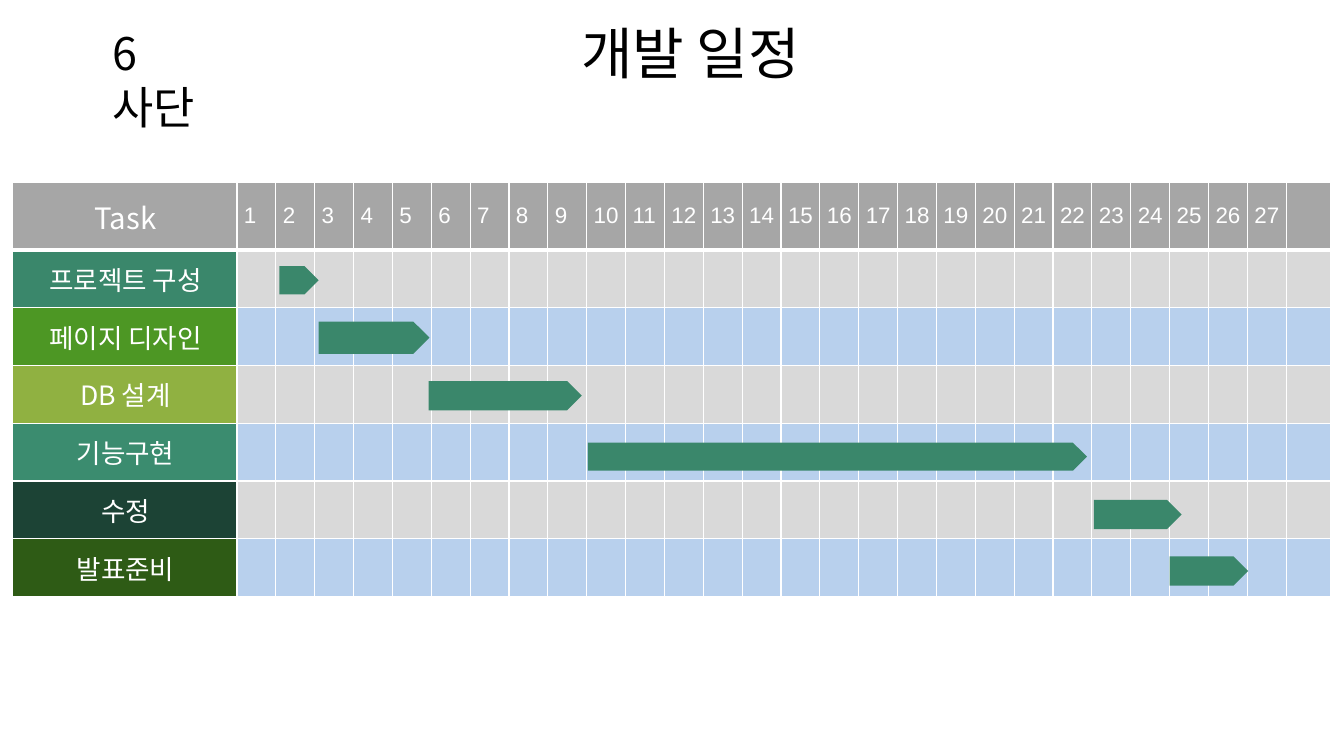
from lxml import etree
from pptx import Presentation
from pptx.dml.color import RGBColor
from pptx.enum import shapes, text
from pptx.oxml import ns
from pptx.util import Inches, Pt

WHITE = RGBColor(0xFF, 0xFF, 0xFF)
BLACK = RGBColor(0x00, 0x00, 0x00)
HEAD = RGBColor(0xA6, 0xA6, 0xA6)
GRAY = RGBColor(0xD9, 0xD9, 0xD9)
BLUE = RGBColor(0xB8, 0xD0, 0xED)
GREEN = RGBColor(0x3A, 0x87, 0x6B)
LEAF = RGBColor(0x4D, 0x97, 0x24)
LIME = RGBColor(0x90, 0xB1, 0x41)
TEAL = RGBColor(0x3B, 0x8C, 0x6F)
PINE = RGBColor(0x1C, 0x43, 0x35)
MOSS = RGBColor(0x2E, 0x5B, 0x15)

KOREAN = "Noto Sans CJK KR"
DAYS = 27

# Task name, label colour, bar as left, top, width, height
TASKS = [
    ("프로젝트 구성", GREEN, (2.77, 2.64, 0.39, 0.28)),
    ("페이지 디자인", LEAF, (3.16, 3.19, 1.1, 0.32)),
    ("DB 설계", LIME, (4.25, 3.78, 1.52, 0.29)),
    ("기능구현", TEAL, (5.83, 4.39, 4.95, 0.28)),
    ("수정", PINE, (10.85, 4.96, 0.87, 0.29)),
    ("발표준비", MOSS, (11.6, 5.52, 0.78, 0.29)),
]


def write(frame, words, size, color, name=KOREAN, align=None):
    par = frame.paragraphs[0]
    par.alignment = align
    run = par.add_run()
    run.text = words
    run.font.color.rgb = color
    for key, value in {"size": Pt(size), "name": name, "bold": False}.items():
        setattr(run.font, key, value)
    east = etree.SubElement(run.font._element, ns.qn("a:ea"))
    east.set("typeface", name)
    return par


def edge(cell, base):
    """Draw white borders, with the given width in points below the cell."""
    props = cell._tc.get_or_add_tcPr()
    for place, (side, width) in enumerate(
            {"lnL": 1, "lnR": 1, "lnT": 1, "lnB": base}.items()):
        line = etree.Element(ns.qn("a:" + side), w=str(Pt(width)))
        fill = etree.SubElement(line, ns.qn("a:solidFill"))
        etree.SubElement(fill, ns.qn("a:srgbClr"), val=str(WHITE))
        props.insert(place, line)


def paint(cell, color, base=1):
    cell.fill.solid()
    cell.fill.fore_color.rgb = color
    edge(cell, base)
    look = {
        "vertical_anchor": text.MSO_ANCHOR.MIDDLE,
        "margin_left": Inches(0.07),
        "margin_right": Inches(0.05),
        "margin_top": Inches(0.07),
        "margin_bottom": Inches(0.07),
    }
    for key, value in look.items():
        setattr(cell, key, value)


def add_grid(slide):
    wide, tall = 13.08, 4.11
    first, last, head = 2.23, 0.44, 0.67
    grid = slide.shapes.add_table(
        len(TASKS) + 1, DAYS + 2, Inches(0.12), Inches(1.81),
        Inches(wide), Inches(tall)).table
    grid.first_row = grid.horz_banding = False

    # Sizes
    day = (wide - first - last) / DAYS
    for col, width in zip(grid.columns, [first] + [day] * DAYS + [last]):
        col.width = Inches(width)
    step = (tall - head) / len(TASKS)
    for row, height in zip(grid.rows, [head] + [step] * len(TASKS)):
        row.height = Inches(height)

    # Header row
    mid = text.PP_ALIGN.CENTER
    for cell in grid.rows[0].cells:
        paint(cell, HEAD, 3)
    write(grid.cell(0, 0).text_frame, "Task", 21, WHITE, align=mid)
    for num in range(1, DAYS + 1):
        write(grid.cell(0, num).text_frame, str(num), 16, WHITE, "Arial")

    # Task rows
    for row, (name, color, _) in enumerate(TASKS, 1):
        band = GRAY if row % 2 else BLUE
        for col, cell in enumerate(grid.rows[row].cells):
            paint(cell, band if col else color)
        write(grid.cell(row, 0).text_frame, name, 19, WHITE, align=mid)


def add_bar(slide, box):
    bar = slide.shapes.add_shape(
        shapes.MSO_SHAPE.RIGHT_ARROW, *map(Inches, box))
    bar.adjustments[0] = 1
    bar.adjustments[1] = 0.5
    bar.shadow.inherit = False
    bar.fill.solid()
    bar.fill.fore_color.rgb = GREEN
    bar.line.fill.background()


def add_team(slide):
    box = slide.shapes.add_textbox(
        Inches(1.02), Inches(0.21), Inches(1.24), Inches(0.64))
    box.text_frame.word_wrap = True
    write(box.text_frame, "6사단", 32, BLACK)


def set_title(slide):
    title = slide.shapes.title
    spot = {"left": 4.32, "top": 0.28, "width": 5.06, "height": 0.56}
    for key, value in spot.items():
        setattr(title, key, Inches(value))
    frame = title.text_frame
    look = {
        "auto_size": text.MSO_AUTO_SIZE.NONE,
        "vertical_anchor": text.MSO_ANCHOR.MIDDLE,
        "word_wrap": True,
    }
    for key, value in look.items():
        setattr(frame, key, value)
    par = write(frame, "개발 일정", 40, BLACK, align=text.PP_ALIGN.CENTER)
    par.line_spacing = 0.9


def main():
    deck = Presentation()
    deck.slide_width = Inches(13.33)
    deck.slide_height = Inches(7.5)
    slide = deck.slides.add_slide(deck.slide_layouts[5])

    # Schedule
    add_grid(slide)
    for _, _, box in TASKS:
        add_bar(slide, box)

    # Headings
    add_team(slide)
    set_title(slide)
    deck.save("out.pptx")


if __name__ == "__main__":
    main()
